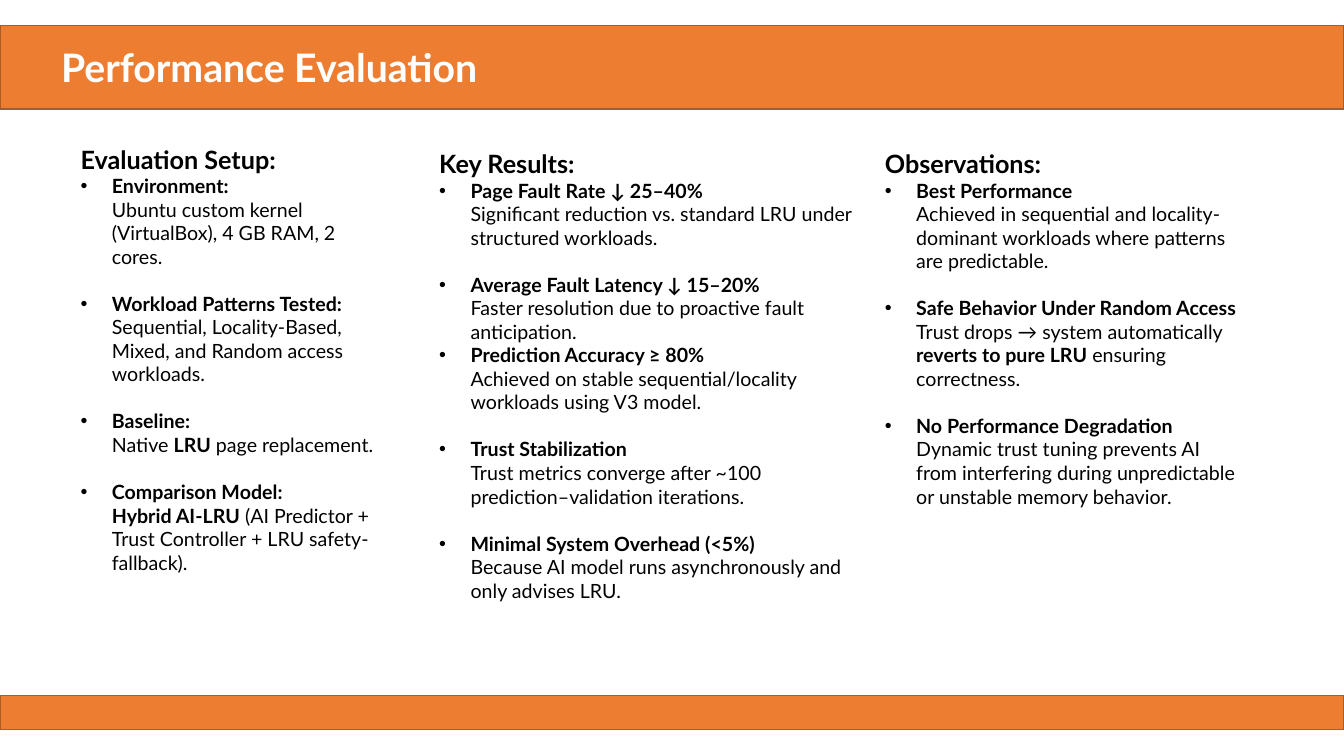
"""Build the Performance Evaluation slide with three bulleted columns."""
from dataclasses import dataclass

import lxml.etree
import pptx
import pptx.dml.color
import pptx.enum.shapes
import pptx.enum.text
import pptx.oxml.ns
import pptx.util
from pptx.util import Cm

ORANGE = pptx.dml.color.RGBColor(0xED, 0x7D, 0x31)
DARK_ORANGE = pptx.dml.color.RGBColor(0xAC, 0x5B, 0x23)
WHITE = pptx.dml.color.RGBColor(0xFF, 0xFF, 0xFF)
BLACK = pptx.dml.color.RGBColor(0x00, 0x00, 0x00)
FONT = "Lato"
SLIDE_WIDTH = Cm(33.87)
BULLET_INDENT = Cm(0.79)
BULLET_GAP = pptx.util.Pt(16.8)


@dataclass
class Point:
    """A bold bullet title and its body, where ** encloses bold words."""
    title: str
    body: str
    gap: bool = True


@dataclass
class Column:
    """A headed list of points and its place on the slide."""
    heading: str
    left: float
    top: float
    width: float
    height: float
    heading_spacing: float
    points: list[Point]


COLUMNS = [
    Column("Evaluation Setup:", 1.78, 3.5, 8.03, 10.59, 1.0, [
        Point("Environment:", "Ubuntu custom kernel (VirtualBox), 4 GB RAM, 2 cores.", False),
        Point("Workload Patterns Tested:",
              "Sequential, Locality-Based, Mixed, and Random access workloads."),
        Point("Baseline:", "Native **LRU** page replacement."),
        Point("Comparison Model:",
              "**Hybrid AI-LRU** (AI Predictor + Trust Controller + LRU safety-fallback)."),
    ]),
    Column("Key Results:", 10.82, 3.23, 11.23, 12.19, 1.5, [
        Point("Page Fault Rate ↓ 25–40%",
              "Significant reduction vs. standard LRU under structured workloads.", False),
        Point("Average Fault Latency ↓ 15–20%",
              "Faster resolution due to proactive fault anticipation."),
        Point("Prediction Accuracy ≥ 80%",
              "Achieved on stable sequential/locality workloads using V3 model.", False),
        Point("Trust Stabilization",
              "Trust metrics converge after ~100 prediction–validation iterations."),
        Point("Minimal System Overhead (<5%)",
              "Because AI model runs asynchronously and only advises LRU."),
    ]),
    Column("Observations:", 22.05, 3.23, 9.55, 9.78, 1.5, [
        Point("Best Performance", "Achieved in sequential and locality-dominant workloads "
              "where patterns are predictable.", False),
        Point("Safe Behavior Under Random Access", "Trust drops → system automatically "
              "**reverts to pure LRU** ensuring correctness."),
        Point("No Performance Degradation", "Dynamic trust tuning prevents AI from interfering "
              "during unpredictable or unstable memory behavior."),
    ]),
]


def set_font(paragraph, size: float, color: pptx.dml.color.RGBColor) -> None:
    """Set the typeface, size and colour of a whole paragraph."""
    paragraph.font.name = FONT
    paragraph.font.size = pptx.util.Pt(size)
    paragraph.font.color.rgb = color


def add_bar(slide, top: float, height: float):
    """Add a full-width orange bar."""
    bar = slide.shapes.add_shape(
        pptx.enum.shapes.MSO_SHAPE.RECTANGLE, 0, Cm(top), SLIDE_WIDTH, Cm(height))
    bar.shadow.inherit = False
    bar.fill.solid()
    bar.fill.fore_color.rgb = ORANGE
    bar.line.color.rgb = DARK_ORANGE
    bar.line.width = pptx.util.Pt(1)
    return bar


def add_title(slide, text: str) -> None:
    """Add the top bar with the slide title."""
    frame = add_bar(slide, 0.64, 2.11).text_frame
    frame.margin_left = Cm(1.54)
    frame.vertical_anchor = pptx.enum.text.MSO_ANCHOR.MIDDLE
    paragraph = frame.paragraphs[0]
    paragraph.text = text
    paragraph.alignment = pptx.enum.text.PP_ALIGN.LEFT
    set_font(paragraph, 28, WHITE)
    paragraph.font.bold = True


def add_bullet(paragraph) -> None:
    """Give a paragraph a hanging round bullet."""
    properties = paragraph._p.get_or_add_pPr()
    properties.set("marL", str(BULLET_INDENT))
    properties.set("indent", str(-BULLET_INDENT))
    for tag, name, value in (("a:buFont", "typeface", "Arial"), ("a:buChar", "char", "•")):
        lxml.etree.SubElement(properties, pptx.oxml.ns.qn(tag)).set(name, value)


def add_point(frame, point: Point) -> None:
    """Append one bulleted point to a text frame."""
    paragraph = frame.add_paragraph()
    add_bullet(paragraph)
    set_font(paragraph, 14, BLACK)
    if point.gap:
        paragraph.space_before = BULLET_GAP
    title = paragraph.add_run()
    title.text = point.title
    title.font.bold = True
    paragraph.add_line_break()
    for index, text in enumerate(point.body.split("**")):
        if text:
            run = paragraph.add_run()
            run.text = text
            run.font.bold = index % 2 == 1


def add_column(slide, column: Column) -> None:
    """Add a column with its heading and points."""
    box = slide.shapes.add_textbox(
        Cm(column.left), Cm(column.top), Cm(column.width), Cm(column.height))
    frame = box.text_frame
    frame.word_wrap = True
    frame.auto_size = pptx.enum.text.MSO_AUTO_SIZE.SHAPE_TO_FIT_TEXT
    heading = frame.paragraphs[0]
    heading.text = column.heading
    heading.line_spacing = column.heading_spacing
    set_font(heading, 18, BLACK)
    heading.font.bold = True
    for point in column.points:
        add_point(frame, point)


def main() -> None:
    """Build and save the presentation."""
    presentation = pptx.Presentation()
    presentation.slide_width = SLIDE_WIDTH
    presentation.slide_height = Cm(19.05)
    slide = presentation.slides.add_slide(presentation.slide_layouts[6])
    add_title(slide, "Performance Evaluation")
    add_bar(slide, 17.53, 0.86)
    for column in COLUMNS:
        add_column(slide, column)
    presentation.save("out.pptx")


if __name__ == "__main__":
    main()
